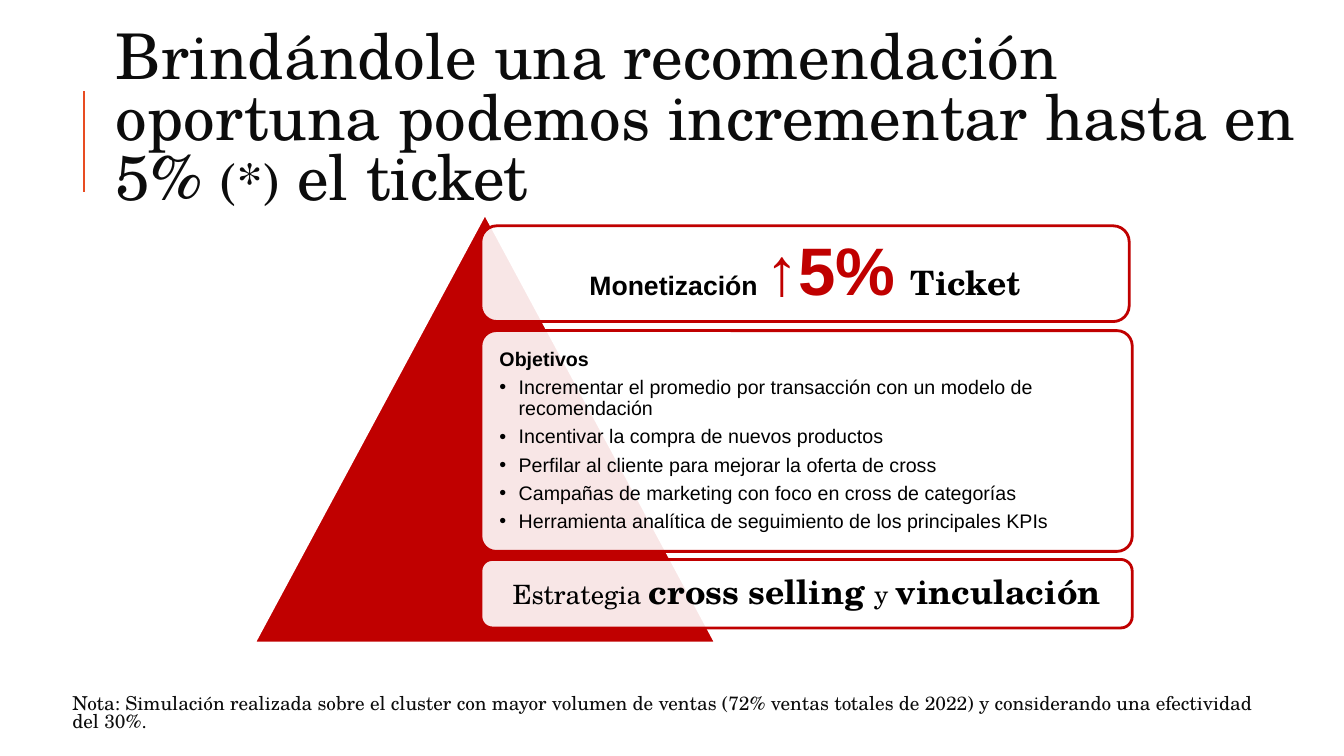
import pptx
import pptx.dml.color
import pptx.enum.shapes
import pptx.enum.text
import pptx.oxml
import pptx.oxml.ns
import pptx.util
from lxml import etree

Inches = pptx.util.Inches
Pt = pptx.util.Pt
Shape = pptx.enum.shapes.MSO_SHAPE
Align = pptx.enum.text.PP_ALIGN
qn = pptx.oxml.ns.qn

SERIF = "TeX Gyre Schola"
SANS = "Arial"
RED = "C00000"
ORANGE = "E84C22"
WHITE = "FFFFFF"
BLACK = "000000"
INK = "0C0C0C"


def colour(value):
    return pptx.dml.color.RGBColor.from_string(value)


class SlideBuilder:
    def __init__(self, slide):
        self.slide = slide

    def frame(self, shape, side=0.1, edge=0.05):
        frame = shape.text_frame
        frame.word_wrap = True
        frame.auto_size = pptx.enum.text.MSO_AUTO_SIZE.NONE
        frame.vertical_anchor = pptx.enum.text.MSO_ANCHOR.MIDDLE
        frame.margin_left = frame.margin_right = Inches(side)
        frame.margin_top = frame.margin_bottom = Inches(edge)
        return frame

    def paragraph(self, paragraph, runs, spacing, align=Align.LEFT, after=0, bullet=False):
        if bullet:
            self.bullet(paragraph)
        paragraph.alignment = align
        paragraph.line_spacing = spacing
        paragraph.space_before = Pt(0)
        paragraph.space_after = Pt(after)
        for text, size, font, ink, bold in runs:
            run = paragraph.add_run()
            run.text = text
            run.font.size = Pt(size)
            run.font.name = font
            run.font.bold = bold
            run.font.color.rgb = colour(ink)

    def bullet(self, paragraph):
        properties = paragraph._p.get_or_add_pPr()
        properties.set("marL", str(Inches(0.19)))
        properties.set("indent", str(-Inches(0.19)))
        bullet_colour = etree.SubElement(properties, qn("a:buClr"))
        etree.SubElement(bullet_colour, qn("a:srgbClr"), val=BLACK)
        etree.SubElement(properties, qn("a:buFont"), typeface=SANS)
        etree.SubElement(properties, qn("a:buChar"), char="•")

    def title(self, box, runs):
        title = self.slide.shapes.title
        title.left, title.top, title.width, title.height = map(Inches, box)
        self.paragraph(self.frame(title).paragraphs[0], runs, 0.8)

    def note(self, box, runs):
        textbox = self.slide.shapes.add_textbox(*map(Inches, box))
        self.paragraph(self.frame(textbox).paragraphs[0], runs, 0.8)

    def line(self, start, end, ink, width):
        connector = self.slide.shapes.add_connector(
            pptx.enum.shapes.MSO_CONNECTOR.STRAIGHT, *map(Inches, start + end))
        connector.line.color.rgb = colour(ink)
        connector.line.width = Pt(width)
        etree.SubElement(connector._element.spPr, qn("a:effectLst"))

    def shape(self, kind, box, fill, outline):
        shape = self.slide.shapes.add_shape(kind, *map(Inches, box))
        shape.shadow.inherit = False
        shape.fill.solid()
        shape.fill.fore_color.rgb = colour(fill)
        shape.line.color.rgb = colour(outline)
        shape.line.width = Pt(2)
        return shape

    def card(self, box, paragraphs, align=Align.CENTER, after=0, radius=0.167):
        card = self.shape(Shape.ROUNDED_RECTANGLE, box, WHITE, RED)
        card.adjustments[0] = radius
        fill = card._element.spPr.find(qn("a:solidFill"))
        etree.SubElement(fill[0], qn("a:alpha"), val="90000")
        frame = self.frame(card, 0.14, 0.14)
        for index, runs in enumerate(paragraphs):
            paragraph = frame.add_paragraph() if index else frame.paragraphs[0]
            self.paragraph(paragraph, runs, 0.9, align, after, bullet=index > 0)


def main():
    presentation = pptx.Presentation()
    presentation.slide_width = Inches(13.33)
    presentation.slide_height = Inches(7.5)
    builder = SlideBuilder(presentation.slides.add_slide(presentation.slide_layouts[5]))

    builder.line((0.83, 1.9), (0.83, 0.9), ORANGE, 1.5)
    builder.title((1.05, 0.38, 12.1, 1.66), [
        ("Brindándole una recomendación oportuna podemos incrementar hasta en 5% ",
         45, SERIF, INK, False),
        ("(*)", 36, SERIF, INK, False),
        (" el ticket", 45, SERIF, INK, False),
    ])
    builder.shape(Shape.ISOSCELES_TRIANGLE, (2.52, 2.12, 4.58, 4.26), RED, WHITE)

    builder.card((4.77, 2.24, 6.43, 0.95), [[
        ("Monetización ", 19, SANS, BLACK, True),
        ("↑5%", 48, SANS, RED, True),
        (" ", 38, SANS, BLACK, False),
        ("Ticket", 24, SERIF, BLACK, True),
    ]])

    objectives = [
        "Incrementar el promedio por transacción con un modelo de recomendación",
        "Incentivar la compra de nuevos productos",
        "Perfilar al cliente para mejorar la oferta de cross",
        "Campañas de marketing con foco en cross de categorías",
        "Herramienta analítica de seguimiento de los principales KPIs",
    ]
    heading = [("Objetivos", 14, SANS, BLACK, True)]
    items = [[(text, 14, SANS, BLACK, False)] for text in objectives]
    builder.card((4.77, 3.28, 6.46, 2.19), [heading] + items, Align.LEFT, 5, 0.069)

    builder.card((4.77, 5.55, 6.46, 0.68), [[
        ("Estrategia ", 19, SERIF, BLACK, False),
        ("cross selling ", 24, SERIF, BLACK, True),
        ("y ", 19, SERIF, BLACK, False),
        ("vinculación", 24, SERIF, BLACK, True),
    ]])

    builder.note((0.62, 6.67, 12.1, 0.83), [
        ("Nota: Simulación realizada sobre el cluster con mayor volumen de ventas "
         "(72% ventas totales de 2022) y considerando una efectividad del 30%.",
         13.7, SERIF, INK, False),
    ])
    presentation.save("out.pptx")


if __name__ == "__main__":
    main()
